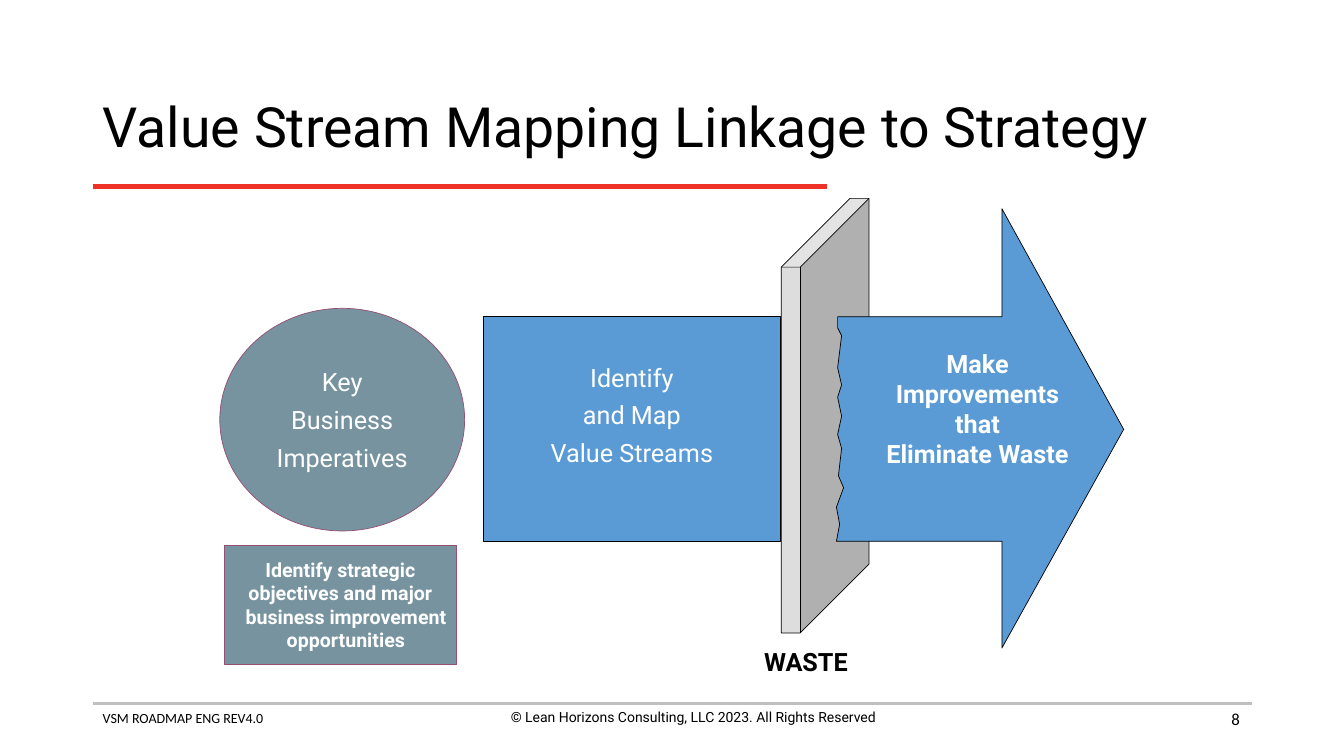
from lxml.etree import SubElement
from pptx import Presentation
from pptx.dml.color import RGBColor
from pptx.enum.shapes import MSO_CONNECTOR, MSO_SHAPE
from pptx.enum.text import MSO_ANCHOR as ANCHOR, MSO_AUTO_SIZE, PP_ALIGN as ALIGN
from pptx.oxml.ns import qn
from pptx.util import Cm, Pt

COLORS = {
    "black": "000000", "white": "FFFFFF", "red": "EE3228", "rule": "BFBFBF",
    "slate": "76939F", "plum": "954F72", "blue": "5B9BD5", "wall": "DDDDDD",
}


def write(shape, paragraphs, size=18, color="white", font="Roboto", bold=False,
          align=ALIGN.CENTER, anchor=ANCHOR.MIDDLE, wrap=True, inset=(0.25, 0.13),
          bottom=None, before=0, hanging=0, line_spacing=None):
    """Fill a shape with paragraphs; inset is (sides, top and bottom) in cm."""
    frame = shape.text_frame
    frame.auto_size = MSO_AUTO_SIZE.NONE
    frame.word_wrap = wrap
    frame.vertical_anchor = anchor
    frame.margin_left = frame.margin_right = Cm(inset[0])
    frame.margin_top = Cm(inset[1])
    frame.margin_bottom = Cm(inset[1] if bottom is None else bottom)
    for number, text in enumerate(paragraphs):
        paragraph = frame.add_paragraph() if number else frame.paragraphs[0]
        paragraph.text = text
        paragraph.alignment = align
        paragraph.space_before = Pt(before if number else 0)
        if line_spacing:
            paragraph.line_spacing = line_spacing
        if hanging:
            properties = paragraph._p.get_or_add_pPr()
            properties.set("marL", str(Cm(hanging)))
            properties.set("indent", str(-Cm(hanging)))
        for run in paragraph.runs:
            run.font.name = font
            run.font.size = Pt(size)
            run.font.bold = bold
            run.font.color.rgb = RGBColor.from_string(COLORS[color])


def paint(shape, fill, line):
    shape.shadow.inherit = False
    shape.fill.solid()
    shape.fill.fore_color.rgb = RGBColor.from_string(COLORS[fill])
    shape.line.color.rgb = RGBColor.from_string(COLORS[line])
    shape.line.width = Pt(0.5)


deck = Presentation()
deck.slide_width, deck.slide_height = Cm(33.87), Cm(19.05)
slide = deck.slides.add_slide(deck.slide_layouts[5])
shapes = slide.shapes

# Title, rules and footer
title = shapes.title
title.left, title.top, title.width, title.height = Cm(2.34), Cm(1.88), Cm(29.21), Cm(2.79)
write(title, ["Value Stream Mapping Linkage to Strategy"], size=39.6, color="black",
      align=ALIGN.LEFT, line_spacing=0.9)

for y, right, color, weight in [(17.73, 31.55, "rule", 2), (4.7, 20.83, "red", 3)]:
    rule = shapes.add_connector(MSO_CONNECTOR.STRAIGHT, Cm(2.34), Cm(y), Cm(right), Cm(y))
    rule.line.color.rgb = RGBColor.from_string(COLORS[color])
    rule.line.width = Pt(weight)
    SubElement(rule._element.spPr, qn("a:effectLst"))

footers = [
    ("VSM ROADMAP ENG REV4.0", (2.34, 17.75, 11.58, 0.69),
     dict(size=10, font="Calibri", align=ALIGN.LEFT, anchor=ANCHOR.TOP)),
    ("© Lean Horizons Consulting, LLC 2023. All Rights Reserved", (11.68, 17.73, 11.58, 1.12),
     dict(size=10, anchor=ANCHOR.TOP)),
    ("8", (23.88, 17.6, 7.62, 1.02), dict(size=12, font="Calibri", align=ALIGN.RIGHT)),
]
for text, box, style in footers:
    write(shapes.add_textbox(*map(Cm, box)), [text], color="black", **style)

# Strategy and mapping steps
tight = dict(inset=(0.13, 0.13), wrap=False)
steps = [
    (MSO_SHAPE.OVAL, (5.54, 7.77, 6.17, 5.61), "slate", "plum",
     ["Key", "Business", "Imperatives"], dict(before=5.4, hanging=0.28)),
    (MSO_SHAPE.RECTANGLE, (5.66, 13.74, 5.84, 3), "slate", "plum",
     ["Identify strategic", "objectives and major\nbusiness improvement\nopportunities"],
     dict(size=14, bold=True, hanging=0.28)),
    (MSO_SHAPE.RECTANGLE, (12.19, 7.98, 7.47, 5.66), "blue", "black",
     ["Identify", "and Map", "Value Streams"], dict(before=5.4, bottom=0.84)),
]
for kind, box, fill, line, text, style in steps:
    step = shapes.add_shape(kind, *map(Cm, box))
    paint(step, fill, line)
    write(step, text, **tight, **style)

# Wall of waste
wall = shapes.add_shape(MSO_SHAPE.CUBE, Cm(19.69), Cm(5), Cm(2.21), Cm(10.95))
wall.adjustments[0] = 0.784
paint(wall, "wall", "black")
waste = shapes.add_textbox(Cm(18.75), Cm(16.28), Cm(3.12), Cm(0.76))
write(waste, ["WASTE"], color="black", bold=True, inset=(0.13, 0.13))

# Arrow breaking through the wall, with a torn left edge
arrow_head = [(25.25, 7.98), (25.25, 5.26), (28.32, 10.82), (25.25, 16.33), (25.25, 13.64)]
torn_edge = [
    (21.08, 13.64), (21.16, 13.21), (21.08, 12.78), (21.26, 12.29), (21.13, 11.99),
    (21.21, 11.3), (21.11, 10.95), (21.21, 10.49), (21.11, 10.01), (21.21, 9.7),
    (21.11, 9.27), (21.21, 8.46), (21.11, 8.26),
]
outline = shapes.build_freeform(Cm(21.11), Cm(7.98))
outline.add_line_segments([(Cm(x), Cm(y)) for x, y in arrow_head + torn_edge], close=True)
paint(outline.convert_to_shape(), "blue", "black")
improvements = shapes.add_textbox(Cm(21.23), Cm(8.64), Cm(6.81), Cm(3.33))
write(improvements, ["Make\nImprovements", "that\nEliminate Waste"], bold=True,
      anchor=ANCHOR.TOP)

deck.save("out.pptx")
